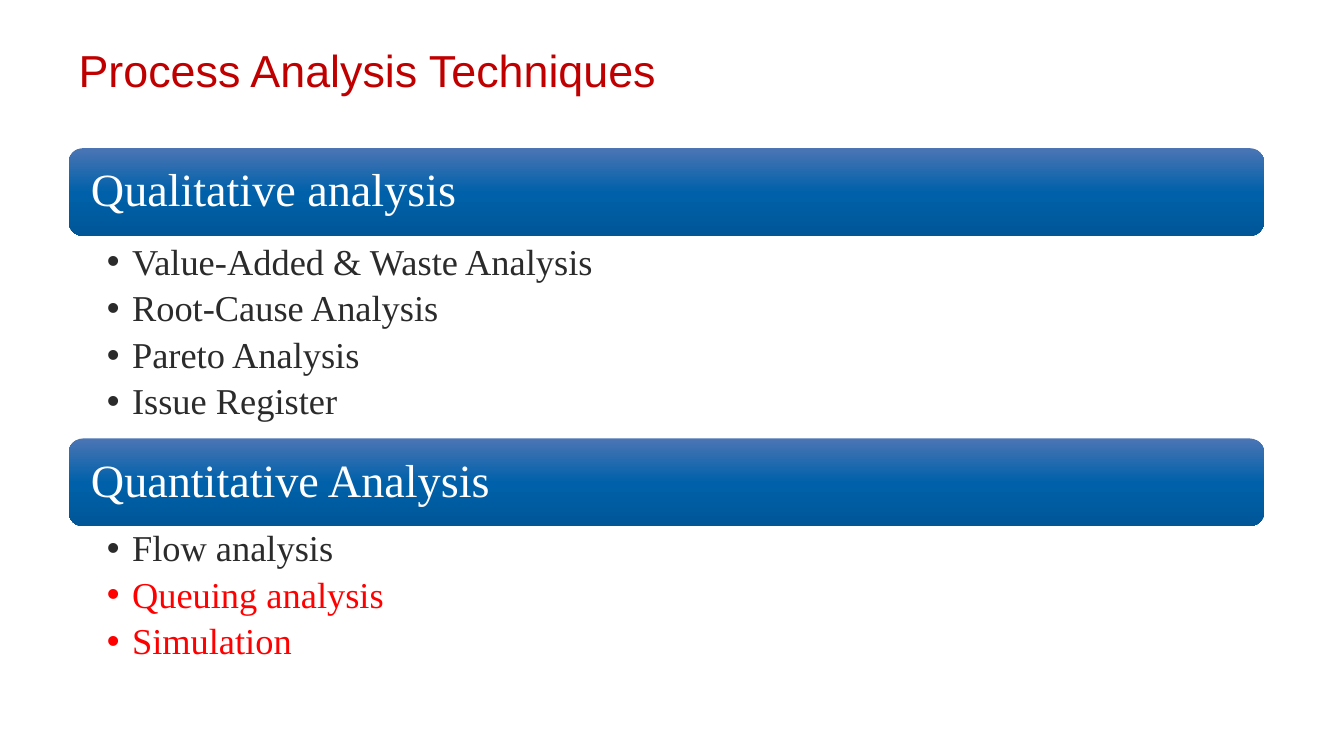
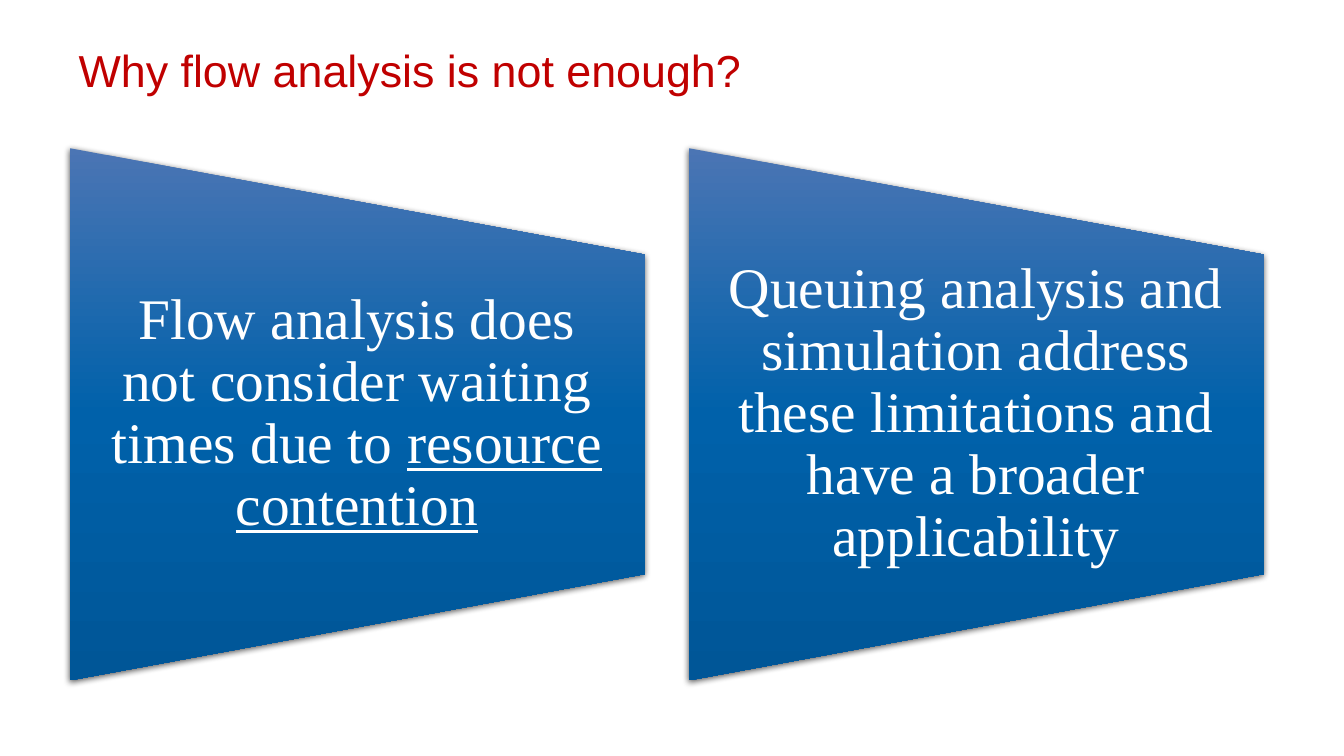
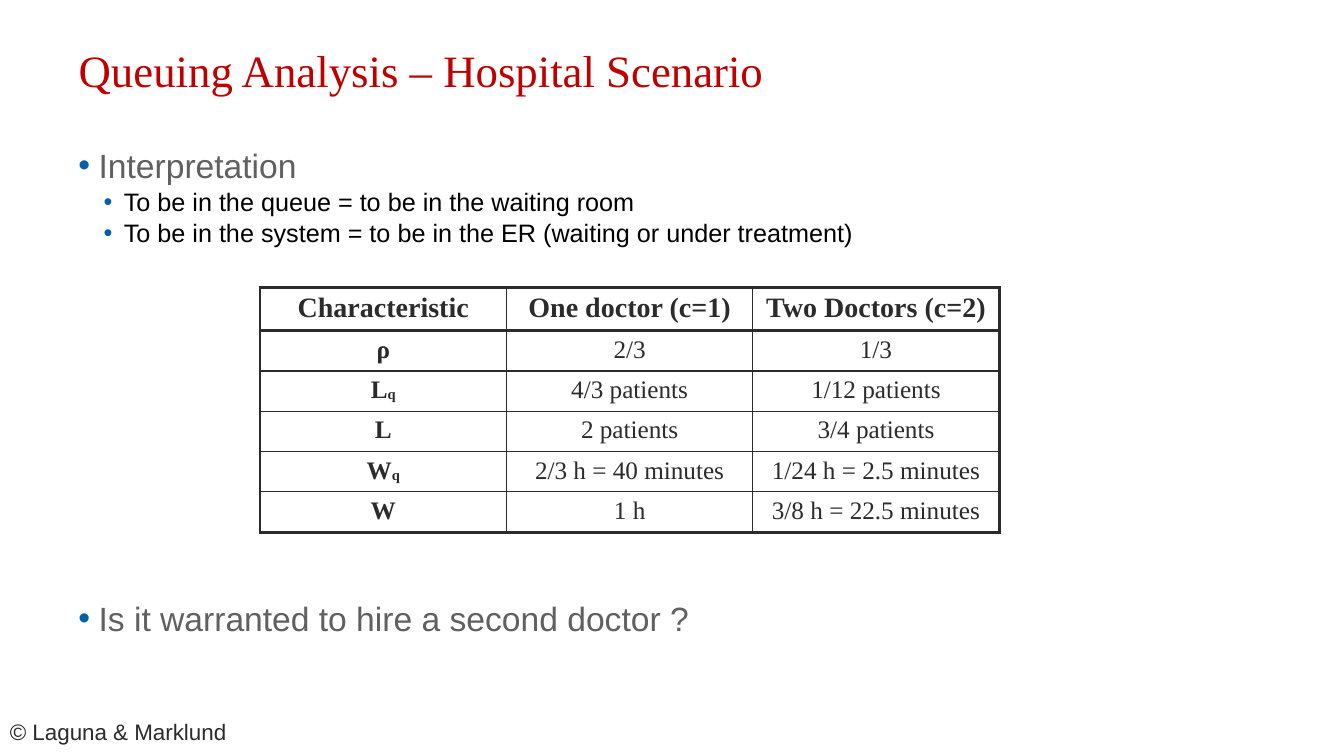
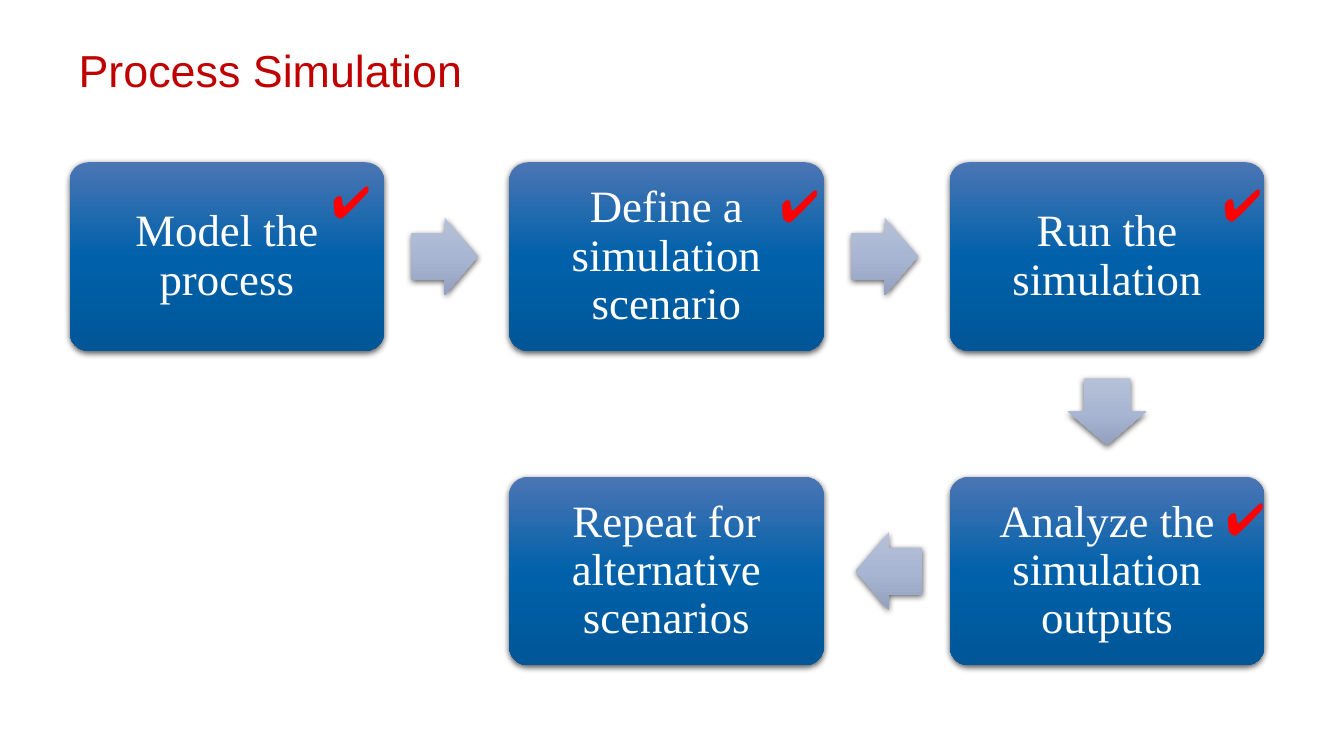
"""Build four slides on process analysis, queuing and simulation."""
from dataclasses import dataclass
from math import atan2, degrees

from pptx import Presentation
from pptx.dml.color import RGBColor as Rgb
from pptx.enum.shapes import MSO_SHAPE as Shape
from pptx.enum.text import MSO_ANCHOR as Anchor, MSO_AUTO_SIZE as Fit, PP_ALIGN as Align
from pptx.oxml import parse_xml
from pptx.oxml.ns import nsdecls
from pptx.util import Pt

PX = 9144


@dataclass(frozen=True)
class Theme:
    """Colours, fonts and type sizes."""
    sans: str = "Arial"
    serif: str = "Times New Roman"
    title: str = "C00000"
    ink: str = "2B2B2B"
    grey: str = "606060"
    black: str = "000000"
    white: str = "FFFFFF"
    red: str = "FF0000"
    blue: str = "0061AA"
    deep: tuple = ("4B75B4", "0061AA", "005697")
    pale: tuple = ("B6C0D8", "A9B6D3", "94A1BE")
    head: int = 32
    bar: int = 33
    item: int = 26
    claim: int = 41
    step: int = 32
    lead: int = 24
    sub: int = 18
    foot: int = 16
    top: int = 20
    cell: int = 18
    thin: float = 1
    thick: float = 2.25


T = Theme()

SIZE = (1333, 750)
TITLE = (68, 29, 1176, 87)

GROUPS = [
    ("Qualitative analysis", 147, (237, 198), [
        ("Value-Added & Waste Analysis", T.ink),
        ("Root-Cause Analysis", T.ink),
        ("Pareto Analysis", T.ink),
        ("Issue Register", T.ink),
    ]),
    ("Quantitative Analysis", 435, (521, 149), [
        ("Flow analysis", T.ink),
        ("Queuing analysis", T.red),
        ("Simulation", T.red),
    ]),
]

CLAIMS = [
    [("Flow analysis does not consider waiting times due to ", False),
     ("resource contention", True)],
    [("Queuing analysis and simulation address these limitations "
      "and have a broader applicability", False)],
]

NOTES = [
    ("Interpretation", 0, 10),
    ("To be in the queue = to be in the waiting room", 1, 5),
    ("To be in the system = to be in the ER (waiting or under treatment)", 1, 5),
    ("Is it warranted to hire a second doctor ?", 0, 256),
]
LEVELS = [(20, T.lead, T.grey), (45, T.sub, T.black)]

ROWS = [
    ("Characteristic", "One doctor (c=1)", "Two Doctors (c=2)"),
    ("ρ", "2/3", "1/3"),
    ("L_q", "4/3 patients", "1/12 patients"),
    ("L", "2 patients", "3/4 patients"),
    ("W_q", "2/3 h = 40 minutes", "1/24 h = 2.5 minutes"),
    ("W", "1 h", "3/8 h = 22.5 minutes"),
]
CREDIT = "© Laguna & Marklund"

STEPS = [
    ("Model the process", (0, 0), (250, 6)),
    ("Define a simulation scenario", (1, 0), (259, 10)),
    ("Run the simulation", (2, 0), (261, 9)),
    ("Analyze the simulation outputs", (2, 1), (264, 9)),
    ("Repeat for alternative scenarios", (1, 1), None),
]
TICK = "✔"


def emu(*vals):
    """Turn px into EMU."""
    return [int(v * PX) for v in vals]


def say(par, text, size, hue, face=T.serif, bold=None, line=None):
    """Add one run."""
    run = par.add_run()
    run.text = text
    font = run.font
    font.size, font.name, font.bold, font.underline = Pt(size), face, bold, line
    font.color.rgb = Rgb.from_string(hue)
    return run


def frame(shape, pad=(10, 5, 10, 5), anchor=Anchor.TOP):
    """Set wrap, margins and anchor of a text frame."""
    body = shape.text_frame
    body.word_wrap, body.auto_size = True, Fit.NONE
    body.vertical_anchor = anchor
    (body.margin_left, body.margin_top,
     body.margin_right, body.margin_bottom) = emu(*pad)
    return body


def box(slide, at, **opts):
    """Add a text box and return its frame."""
    return frame(slide.shapes.add_textbox(*emu(*at)), **opts)


def lines(body, count):
    """Yield the paragraphs of a new frame."""
    for num in range(count):
        yield body.add_paragraph() if num else body.paragraphs[0]


def dot(par, left, hang, hue):
    """Give a paragraph a hanging bullet."""
    props = par._p.get_or_add_pPr()
    props.set("marL", str(left * PX))
    props.set("indent", str(-hang * PX))
    for xml in (f'<a:buClr {nsdecls("a")}><a:srgbClr val="{hue}"/></a:buClr>',
                f'<a:buFont {nsdecls("a")} typeface="Arial"/>',
                f'<a:buChar {nsdecls("a")} char="•"/>'):
        props.append(parse_xml(xml))


def block(slide, kind, at, hues, glow=True, turn=0):
    """Add a preset shape with a three-stop gradient."""
    shape = slide.shapes.add_shape(kind, *emu(*at))
    shape.rotation = turn
    shape.line.fill.background()
    stops = "".join(
        f'<a:gs pos="{num * 50000}"><a:srgbClr val="{hue}"/></a:gs>'
        for num, hue in enumerate(hues))
    grad = parse_xml(
        f'<a:gradFill {nsdecls("a")} rotWithShape="0"><a:gsLst>{stops}</a:gsLst>'
        '<a:lin ang="5400000" scaled="0"/></a:gradFill>')
    shape.fill.background()
    props = shape._element.spPr
    props.replace(props.find(grad.tag.replace("gradFill", "noFill")), grad)
    shape.shadow.inherit = False
    if glow:
        props[-1].append(parse_xml(
            f'<a:outerShdw {nsdecls("a")} blurRad="57150" dist="19050" '
            'dir="5400000" algn="ctr" rotWithShape="0"><a:srgbClr val="000000">'
            '<a:alpha val="63000"/></a:srgbClr></a:outerShdw>'))
    return shape


def start(deck, text, face=T.sans):
    """Add a slide with its title."""
    slide = deck.slides.add_slide(deck.slide_layouts[5])
    title = slide.shapes.title
    title.left, title.top, title.width, title.height = emu(*TITLE)
    par = frame(title, anchor=Anchor.MIDDLE).paragraphs[0]
    par.alignment, par.line_spacing = Align.LEFT, 0.9
    say(par, text, T.head, T.title, face)
    return slide


def methods(deck):
    """Two bars, each with a list."""
    slide = start(deck, "Process Analysis Techniques")
    for name, y, (top, high), items in GROUPS:
        bar = block(slide, Shape.ROUNDED_RECTANGLE, (68, y, 1186, 87), T.deep, False)
        par = frame(bar, (18, 18, 18, 18), Anchor.MIDDLE).paragraphs[0]
        par.alignment, par.line_spacing = Align.LEFT, 0.9
        say(par, name, T.bar, T.white)
        body = box(slide, (68, top, 1186, high), pad=(38, 5, 26, 5))
        for par, (text, hue) in zip(lines(body, len(items)), items):
            par.line_spacing, par.space_after = 0.9, Pt(5.2)
            dot(par, 25, 25, hue)
            say(par, text, T.item, hue)


def limits(deck):
    """Two tapered panels."""
    slide = start(deck, "Why flow analysis is not enough?")
    wide, high, mid = 571, 528, 411
    for num, runs in enumerate(CLAIMS):
        x = 69 + 614 * num
        at = (x + (wide - high) / 2, mid - wide / 2, high, wide)
        block(slide, Shape.FLOWCHART_MANUAL_OPERATION, at, T.deep, turn=270)
        body = box(slide, (x, 252, wide, 317), pad=(28, 0, 29, 0),
                   anchor=Anchor.MIDDLE)
        par = body.paragraphs[0]
        par.alignment, par.line_spacing = Align.CENTER, 0.9
        for text, line in runs:
            say(par, text, T.claim, T.white, line=line)


def edge(cell, side, width):
    """Draw one border of a cell."""
    cell._tc.get_or_add_tcPr().append(parse_xml(
        f'<a:ln{side} {nsdecls("a")} w="{Pt(width)}"><a:solidFill>'
        f'<a:srgbClr val="{T.ink}"/></a:solidFill></a:ln{side}>'))


def queue(deck):
    """Notes and a table of queue figures."""
    slide = start(deck, "Queuing Analysis – Hospital Scenario", T.serif)
    body = box(slide, (68, 147, 1186, 528))
    for par, (text, level, gap) in zip(lines(body, len(NOTES)), NOTES):
        left, size, hue = LEVELS[level]
        par.level, par.line_spacing, par.space_before = level, 0.8, Pt(gap)
        dot(par, left, 20, T.blue)
        say(par, text, size, hue, T.sans)

    deep, wide = len(ROWS), len(ROWS[0])
    grid = slide.shapes.add_table(deep, wide, *emu(258, 285, 733, 243)).table
    grid.first_row = grid.horz_banding = False
    for col in grid.columns:
        col.width = emu(733 / wide)[0]
    for r, row in enumerate(ROWS):
        grid.rows[r].height = emu(40 if r else 43)[0]
        for c, text in enumerate(row):
            cell = grid.cell(r, c)
            heavy = {"L": c == 0, "R": c == wide - 1,
                     "T": r < 2, "B": r in (0, deep - 1)}
            for side, on in heavy.items():
                edge(cell, side, T.thick if on else T.thin)
            cell.fill.background()
            par = cell.text_frame.paragraphs[0]
            par.alignment = Align.CENTER
            size, bold = (T.cell if r else T.top), r == 0 or c == 0
            base, _, low = text.partition("_")
            say(par, base, size, T.ink, bold=bold)
            if low:
                run = say(par, low, size, T.ink, bold=bold)
                run._r.get_or_add_rPr().set("baseline", "-4000")
    par = box(slide, (0, 708, 266, 39)).paragraphs[0]
    say(par, CREDIT, T.foot, T.ink, T.sans)


def steps(deck):
    """Five steps joined by block arrows."""
    slide = start(deck, "Process Simulation")
    wide, high, long, broad = 312, 187, 66, 77
    spots = [(69 + 873 * c // 2, 161 + 312 * r) for _, (c, r), _ in STEPS]
    for (text, _, _), (x, y) in zip(STEPS, spots):
        step = block(slide, Shape.ROUNDED_RECTANGLE, (x, y, wide, high), T.deep)
        step.adjustments[0] = 0.1
        par = frame(step, (18, 18, 18, 18), Anchor.MIDDLE).paragraphs[0]
        par.alignment, par.line_spacing = Align.CENTER, 0.9
        say(par, text, T.step, T.white)
    for (x, y), (u, v) in zip(spots, spots[1:]):
        turn = degrees(atan2(v - y, u - x))
        back = [2 * ((d > 0) - (d < 0)) for d in (u - x, v - y)]
        at = ((x + u + wide - long) / 2 - back[0],
              (y + v + high - broad) / 2 - back[1], long, broad)
        arrow = block(slide, Shape.RIGHT_ARROW, at, T.pale, turn=turn)
        arrow.adjustments[0], arrow.adjustments[1] = 0.6, 0.5
    for (_, _, tick), (x, y) in zip(STEPS, spots):
        if tick:
            body = box(slide, (x + tick[0], y + tick[1], 32, 64))
            say(body.paragraphs[0], TICK, T.step, T.red, T.sans)


def main():
    """Build and save the deck."""
    deck = Presentation()
    deck.slide_width, deck.slide_height = emu(*SIZE)
    for make in (methods, limits, queue, steps):
        make(deck)
    deck.save("out.pptx")


if __name__ == "__main__":
    main()
